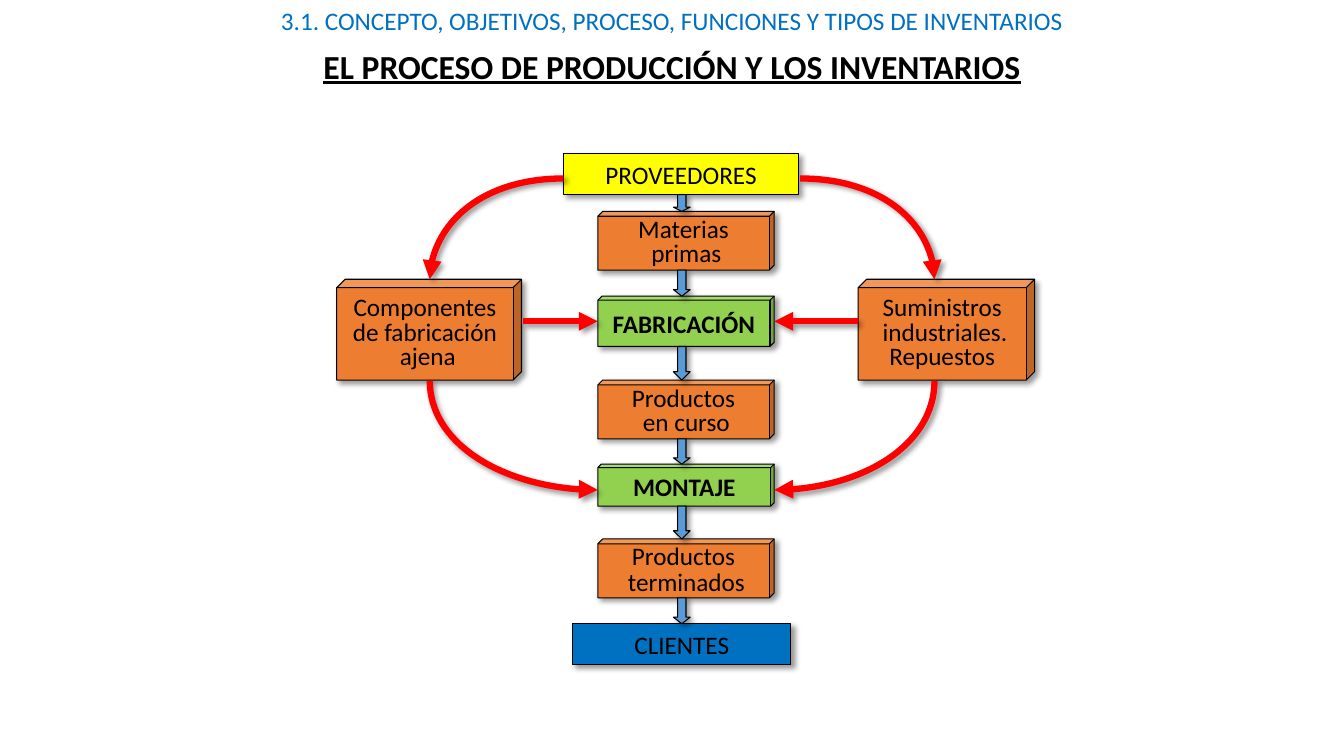
from itertools import pairwise

from lxml.etree import SubElement
from pptx import Presentation
from pptx.dml.color import RGBColor
from pptx.enum.shapes import MSO_CONNECTOR, MSO_SHAPE
from pptx.enum.text import MSO_ANCHOR, MSO_AUTO_SIZE, PP_ALIGN
from pptx.oxml.ns import qn
from pptx.util import Pt

COLORS = {
    "black": "000000",
    "stock": "ED7D31",
    "stage": "92D050",
    "supplier": "FFFF00",
    "customer": "0070C0",
    "heading": "0070C0",
    "step": "5B9BD5",
    "flow": "FF0000",
}
SLIDE_WIDTH, SLIDE_HEIGHT = 960, 540
CUBE_LEFT, CUBE_WIDTH = 427, 126
CUBE_RIGHT = CUBE_LEFT + CUBE_WIDTH
BOX_HEIGHT = 29.5
STEP_LEFT, STEP_WIDTH = 481, 12
SIDE_TOP, SIDE_HEIGHT = 199.5, 72
CURVE_RATIO = 0.55

# name, left, top, width, height, colour, lines, line spacing
CHAIN = [
    ("box", 402.5, 109.5, 168, BOX_HEIGHT, "supplier", ["PROVEEDORES"], 1),
    ("cube", CUBE_LEFT, 151, CUBE_WIDTH, 42, "stock", ["Materias", " primas"], 0.8),
    ("cube", CUBE_LEFT, 211.5, CUBE_WIDTH, 36, "stage", ["FABRICACIÓN"], 1),
    ("cube", CUBE_LEFT, 271.5, CUBE_WIDTH, 42, "stock", ["Productos", " en curso"], 0.8),
    ("cube", CUBE_LEFT, 331.5, CUBE_WIDTH, 30, "stage", ["MONTAJE"], 1),
    ("cube", CUBE_LEFT, 385, CUBE_WIDTH, 42, "stock", ["Productos", " terminados"], 0.85),
    ("box", 409, 445.5, 156, BOX_HEIGHT, "customer", ["CLIENTES"], 1),
]
SIDES = [
    ("cube", 240.5, SIDE_TOP, 132, SIDE_HEIGHT, "stock",
     ["Componentes", "de fabricación", " ajena"], 0.8),
    ("cube", 613, SIDE_TOP, 126, SIDE_HEIGHT, "stock",
     ["Suministros", " industriales.", "Repuestos"], 0.8),
]


def rgb(name):
    return RGBColor.from_string(COLORS[name])


def write_text(shape, lines, size=18, color="black", bold=False, underline=False, spacing=1):
    frame = shape.text_frame
    frame.text = "\n".join(lines)
    for paragraph in frame.paragraphs:
        paragraph.alignment = PP_ALIGN.CENTER
        paragraph.line_spacing = spacing
        for run in paragraph.runs:
            font = run.font
            font.name, font.size = "Calibri", Pt(size)
            font.bold, font.underline = bold, underline
            font.color.rgb = rgb(color)


def add_shadow(shape):
    """Give the shape a soft shadow, down and to the right."""
    properties = shape.element.spPr
    effects = SubElement(properties, qn("a:effectLst"))
    shadow = SubElement(effects, qn("a:outerShdw"), blurRad=str(Pt(4)), dist=str(Pt(3)),
                        dir="2700000", algn="tl", rotWithShape="0")
    color = SubElement(shadow, qn("a:srgbClr"), val=COLORS["black"])
    SubElement(color, qn("a:alpha"), val="40000")


def add_block(slide, preset, left, top, width, height, color):
    shape = slide.shapes.add_shape(preset, Pt(left), Pt(top), Pt(width), Pt(height))
    shape.fill.solid()
    shape.fill.fore_color.rgb = rgb(color)
    shape.line.color.rgb = rgb("black")
    shape.line.width = Pt(0.75)
    add_shadow(shape)
    return shape


def add_node(slide, kind, left, top, width, height, color, lines, spacing):
    preset = MSO_SHAPE.CUBE if kind == "cube" else MSO_SHAPE.RECTANGLE
    shape = add_block(slide, preset, left, top, width, height, color)
    if kind == "cube":
        shape.adjustments[0] = 0.083
    shape.text_frame.word_wrap = kind == "box"
    shape.text_frame.vertical_anchor = MSO_ANCHOR.MIDDLE
    write_text(shape, lines, bold=color == "stage", spacing=spacing)


def add_step(slide, top, bottom):
    height = bottom - top
    arrow = add_block(slide, MSO_SHAPE.DOWN_ARROW, STEP_LEFT, top, STEP_WIDTH, height, "step")
    arrow.adjustments[1] = height / (4 * STEP_WIDTH)


def style_flow(shape):
    """Draw the line as a thick red arrow with a shadow."""
    shape.line.color.rgb = rgb("flow")
    shape.line.width = Pt(4.5)
    outline = shape.element.spPr.find(qn("a:ln"))
    SubElement(outline, qn("a:tailEnd"), type="triangle")
    add_shadow(shape)


def add_straight_flow(slide, start, end, y):
    style_flow(slide.shapes.add_connector(
        MSO_CONNECTOR.STRAIGHT, Pt(start), Pt(y), Pt(end), Pt(y)))


def add_curved_flow(slide, start, end, leaves_sideways):
    """Add a quarter ellipse that leaves start sideways or downwards."""
    (x1, y1), (x2, y2) = start, end
    shift_x, shift_y = CURVE_RATIO * (x2 - x1), CURVE_RATIO * (y2 - y1)
    if leaves_sideways:
        controls = [(x1 + shift_x, y1), (x2, y2 - shift_y)]
    else:
        controls = [(x1, y1 + shift_y), (x2 - shift_x, y2)]
    builder = slide.shapes.build_freeform(Pt(x1), Pt(y1))
    builder.add_line_segments([(Pt(x), Pt(y)) for x, y in controls + [end]], close=False)
    shape = builder.convert_to_shape()
    outline = shape.element.spPr.find(".//" + qn("a:path"))
    segments = outline.findall(qn("a:lnTo"))
    curve = SubElement(outline, qn("a:cubicBezTo"))
    for segment in segments:
        curve.append(segment[0])
        outline.remove(segment)
    shape.fill.background()
    style_flow(shape)


def add_headings(slide):
    title = slide.shapes.title
    title.left, title.top, title.width, title.height = 0, Pt(29), Pt(SLIDE_WIDTH), Pt(36)
    section = slide.shapes.add_textbox(0, 0, Pt(SLIDE_WIDTH), Pt(29))
    for shape in (title, section):
        shape.text_frame.word_wrap = True
        shape.text_frame.auto_size = MSO_AUTO_SIZE.NONE
        shape.text_frame.vertical_anchor = MSO_ANCHOR.TOP
    write_text(title, ["EL PROCESO DE PRODUCCIÓN Y LOS INVENTARIOS"],
               size=24, bold=True, underline=True)
    write_text(section, ["3.1. CONCEPTO, OBJETIVOS, PROCESO, FUNCIONES Y TIPOS DE INVENTARIOS"],
               color="heading")


def main():
    presentation = Presentation()
    presentation.slide_width, presentation.slide_height = Pt(SLIDE_WIDTH), Pt(SLIDE_HEIGHT)
    slide = presentation.slides.add_slide(presentation.slide_layouts[5])
    add_headings(slide)

    for node in CHAIN + SIDES:
        add_node(slide, *node)
    for upper, lower in pairwise(CHAIN):
        add_step(slide, upper[2] + upper[4], lower[2])

    # supplier edge, side box centre, side box inner edge, cube edge
    for supplier_x, side_x, inner_x, cube_x in (
        (402.5, 307, 373.5, CUBE_LEFT),
        (571.5, 667.5, 613, CUBE_RIGHT),
    ):
        add_curved_flow(slide, (supplier_x, 127.5), (side_x, SIDE_TOP), True)
        add_straight_flow(slide, inner_x, cube_x, 229.5)
        add_curved_flow(slide, (side_x, 272), (cube_x, 350), False)

    presentation.save("out.pptx")


if __name__ == "__main__":
    main()
